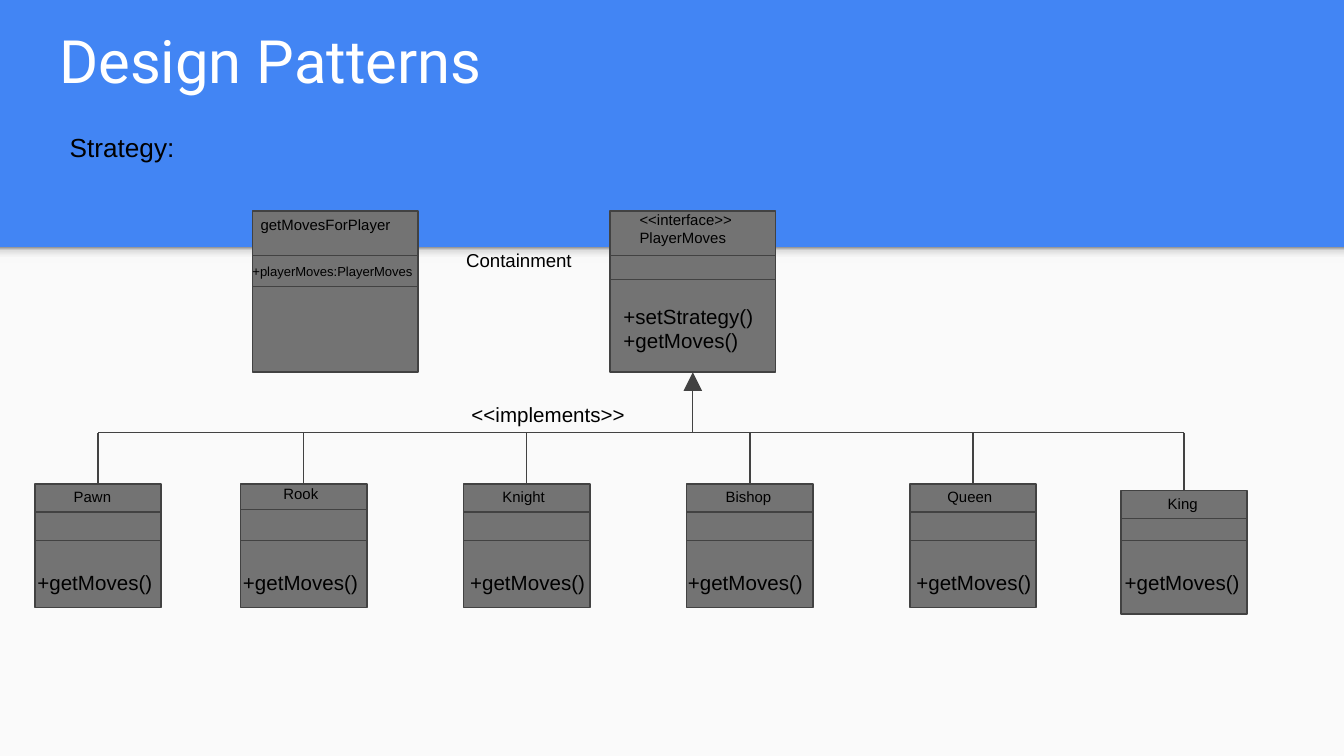
from lxml.etree import SubElement
from pptx import Presentation
from pptx.dml.color import RGBColor
from pptx.enum.shapes import MSO_CONNECTOR, MSO_SHAPE
from pptx.enum.text import MSO_ANCHOR, MSO_AUTO_SIZE, PP_ALIGN
from pptx.oxml import parse_xml
from pptx.oxml.ns import nsdecls, qn
from pptx.util import Inches, Pt

COLORS = {
    "band": "4285F4", "page": "FAFAFA", "title": "FFFFFF",
    "text": "000000", "box": "737373", "line": "424242",
}
SHADE = [(0, "F9F9F9"), (36, "F9F9F9"), (80, "DEDEDE"), (100, "999999")]
WIDTH = 10
HEIGHT = WIDTH * 9 / 16
BAND = 1.84

TITLE = "Design Patterns"
METHOD = "+getMoves()"
PIECES = [
    {"name": "Pawn", "left": 0.26, "top": 3.6, "name_at": (0.45, 3.56), "method_left": 0.18},
    {"name": "Rook", "left": 1.79, "top": 3.6, "name_at": (2.01, 3.54), "method_left": 1.71},
    {"name": "Knight", "left": 3.45, "top": 3.6, "name_at": (3.64, 3.56), "method_left": 3.4},
    {"name": "Bishop", "left": 5.11, "top": 3.6, "name_at": (5.3, 3.56), "method_left": 5.02},
    {"name": "Queen", "left": 6.77, "top": 3.6, "name_at": (6.95, 3.56), "method_left": 6.72},
    {"name": "King", "left": 8.34, "top": 3.65, "name_at": (8.59, 3.61), "method_left": 8.27},
]
LABELS = [
    (["Strategy:"], 14, (0.42, 0.88, 1.35, 0.3)),
    (["<<interface>>", "PlayerMoves"], 8, (4.66, 1.47, 1.02, 0.3)),
    (["+setStrategy()", "+getMoves()"], 11, (4.54, 2.16, 1.51, 0.58)),
    (["getMovesForPlayer"], 8, (1.84, 1.54, 1.22, 0.3)),
    (["+playerMoves:PlayerMoves"], 7, (1.78, 1.9, 1.68, 0.43)),
    (["Containment"], 10, (3.37, 1.77, 1.02, 0.17)),
    (["<<implements>>"], 11, (3.41, 2.91, 1.43, 0.17)),
]
CLASS_SIZE, PIECE_SIZE = (1.23, 1.2), (0.94, 0.92)
CLASS_TOP, CONTEXT_LEFT, INTERFACE_LEFT = 1.57, 1.88, 4.54
BUS_Y = 3.22

prs = Presentation()
prs.slide_width, prs.slide_height = Inches(WIDTH), Inches(HEIGHT)
slide = prs.slides.add_slide(prs.slide_layouts[5])
shapes = slide.shapes


def color(name):
    return RGBColor.from_string(COLORS[name])


def place(*lengths):
    return [Inches(length) for length in lengths]


def add_rect(at, fill, outline=None):
    rect = shapes.add_shape(MSO_SHAPE.RECTANGLE, *place(*at))
    rect.shadow.inherit = False
    rect.fill.solid()
    rect.fill.fore_color.rgb = color(fill)
    if outline:
        rect.line.color.rgb = color(outline)
        rect.line.width = Pt(0.75)
    else:
        rect.line.fill.background()
    return rect


def add_line(x1, y1, x2, y2):
    line = shapes.add_connector(MSO_CONNECTOR.STRAIGHT, *place(x1, y1, x2, y2))
    line.line.color.rgb = color("line")
    line.line.width = Pt(0.75)
    SubElement(line._element.spPr, qn("a:effectLst"))
    return line


def add_class(left, top, size, dividers):
    width, height = size
    box = add_rect((left, top, width, height), "box", "line")
    for y in dividers:
        add_line(left, y, left + width, y)
    return box


def add_label(lines, points, at):
    frame = shapes.add_textbox(*place(*at)).text_frame
    frame.word_wrap = True
    frame.margin_left = frame.margin_right = Inches(0.1)
    frame.margin_top = frame.margin_bottom = Inches(0.1)
    frame.text = "\n".join(lines)
    for paragraph in frame.paragraphs:
        paragraph.font.size = Pt(points)
        paragraph.font.name = "Arial"
        paragraph.font.color.rgb = color("text")


slide.background.fill.solid()
slide.background.fill.fore_color.rgb = color("band")
add_rect((0, BAND, WIDTH, HEIGHT - BAND), "page")
shade = add_rect((0, BAND, WIDTH, 0.12), "page")
shade.fill.gradient()
shade.fill.gradient_angle = 90
stops = shade._element.spPr.find(qn("a:gradFill")).find(qn("a:gsLst"))
for stop in list(stops):
    stops.remove(stop)
for position, tone in SHADE:
    stops.append(parse_xml(
        f'<a:gs {nsdecls("a")} pos="{position * 1000}"><a:srgbClr val="{tone}"/></a:gs>'))

title = shapes.title
title.left, title.top, title.width, title.height = place(0.34, 0.18, 9.32, 0.63)
title.text_frame.text = TITLE
title.text_frame.auto_size = MSO_AUTO_SIZE.NONE
title.text_frame.vertical_anchor = MSO_ANCHOR.BOTTOM
title.text_frame.margin_top = title.text_frame.margin_bottom = Inches(0.1)
heading = title.text_frame.paragraphs[0]
heading.alignment = PP_ALIGN.LEFT
heading.font.size = Pt(32)
heading.font.name = "Roboto"
heading.font.color.rgb = color("title")

add_class(CONTEXT_LEFT, CLASS_TOP, CLASS_SIZE, (1.9, 2.13))
interface = add_class(INTERFACE_LEFT, CLASS_TOP, CLASS_SIZE, (1.9, 2.08))

centers = [piece["left"] + PIECE_SIZE[0] / 2 for piece in PIECES]
add_line(centers[0], BUS_Y, centers[-1], BUS_Y)
interface_center = INTERFACE_LEFT + CLASS_SIZE[0] / 2
arrow = add_line(interface_center, BUS_Y, interface_center, CLASS_TOP + CLASS_SIZE[1])
arrow.end_connect(interface, 2)
SubElement(arrow._element.spPr.find(qn("a:ln")), qn("a:tailEnd"),
           type="triangle", w="lg", len="lg")

for center, piece in zip(centers, PIECES):
    name_left, name_top = piece["name_at"]
    box = add_class(piece["left"], piece["top"], PIECE_SIZE, (name_top + 0.25, 4.02))
    add_line(center, BUS_Y, center, piece["top"]).end_connect(box, 0)
    add_label([piece["name"]], 8, (name_left, name_top, 0.88, 0.3))
    add_label([METHOD], 11, (piece["method_left"], 4.15, 1.23, 0.38))

for label in LABELS:
    add_label(*label)

prs.save("out.pptx")
